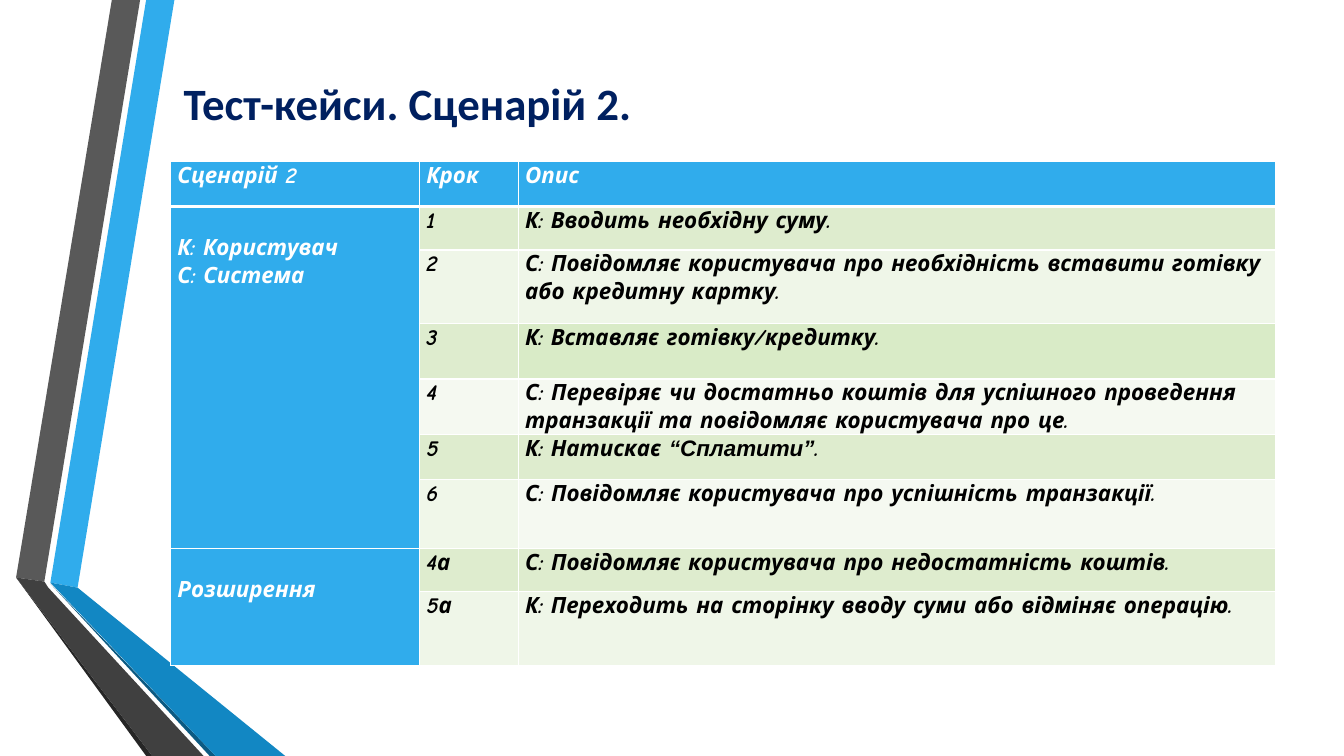
from lxml import etree
from pptx import Presentation
from pptx.dml.color import RGBColor
from pptx.enum.text import MSO_ANCHOR, PP_ALIGN
from pptx.oxml.ns import qn
from pptx.util import Inches, Pt

LEFT = PP_ALIGN.LEFT
MIDDLE = MSO_ANCHOR.MIDDLE

WHITE = RGBColor(0xFF, 0xFF, 0xFF)
BLACK = RGBColor(0x00, 0x00, 0x00)
NAVY = RGBColor(0x00, 0x20, 0x60)
BLUE = RGBColor(0x30, 0xAC, 0xEC)
BLUE_FOLD = RGBColor(0x12, 0x87, 0xC3)
BLUE_SHADE = RGBColor(0x0C, 0x5A, 0x82)
GRAY = RGBColor(0x59, 0x59, 0x59)
GRAY_FOLD = RGBColor(0x40, 0x40, 0x40)
GRAY_SHADE = RGBColor(0x26, 0x26, 0x26)
GREEN = RGBColor(0xDE, 0xEC, 0xCE)
GREEN_DEEP = RGBColor(0xD9, 0xEB, 0xC7)
GREEN_PALE = RGBColor(0xEF, 0xF6, 0xE8)
GREEN_FAINT = RGBColor(0xF5, 0xF9, 0xF1)
GREEN_SOFT = RGBColor(0xF0, 0xF7, 0xE9)

SLIDE_WIDTH = Inches(13.33)
SLIDE_HEIGHT = Inches(7.5)
GRID_UNIT = SLIDE_HEIGHT / 750
TABLE_FONT = "Comic Neue"
QUOTE_FONT = "Arial"
LABEL_DROP = Inches(0.27)

RIBBONS = [
    (BLUE, [(50, 578), (77, 583), (173, 0), (145, 0)]),
    (GRAY, [(139, 0), (111, 0), (16, 573), (44, 577)]),
    (GRAY_SHADE, [(16, 573), (145, 750), (151, 750)]),
    (BLUE_SHADE, [(50, 579), (208, 750), (214, 750)]),
    (BLUE_FOLD, [(50, 578), (214, 750), (283, 750), (77, 583)]),
    (GRAY_FOLD, [(202, 750), (48, 583), (44, 577), (16, 573), (151, 750)]),
]

COLUMN_WIDTHS = [2.47, 0.98, 7.51]
ROW_HEIGHTS = [0.45, 0.43, 0.73, 0.55, 0.55, 0.45, 0.68, 0.43, 0.73]
HEADINGS = ["Сценарій 2", "Крок", "Опис"]
ROLE_GROUPS = [
    (1, 6, ["К: Користувач", "С: Система"]),
    (7, 8, ["Розширення"]),
]
STEPS = [
    ("1", ["К: Вводить необхідну суму."], GREEN, GREEN),
    ("2", ["С: Повідомляє користувача про необхідність вставити готівку "
           "або кредитну картку."], GREEN_PALE, GREEN_PALE),
    ("3", ["К: Вставляє готівку/кредитку."], GREEN, GREEN_DEEP),
    ("4", ["С: Перевіряє чи достатньо коштів для успішного проведення "
           "транзакції та повідомляє користувача про це."], GREEN_FAINT, GREEN_FAINT),
    ("5", ["К: Натискає ", "“Сплатити”", "."], GREEN, GREEN),
    ("6", ["С: Повідомляє користувача про успішність транзакції."], GREEN_SOFT, GREEN_FAINT),
    ("4а", ["С: Повідомляє користувача про недостатність коштів."], GREEN, GREEN),
    ("5а", ["К: Переходить на сторінку вводу суми або відміняє операцію."],
     GREEN_PALE, GREEN_PALE),
]


def add_ribbon(slide, color, corners):
    """Draw one flat part of the folded ribbons on the slide grid."""
    builder = slide.shapes.build_freeform(*corners[0], scale=GRID_UNIT)
    builder.add_line_segments(corners[1:], close=True)
    ribbon = builder.convert_to_shape()
    ribbon.shadow.inherit = False
    ribbon.fill.solid()
    ribbon.fill.fore_color.rgb = color
    ribbon.line.fill.background()


def set_title(slide, text):
    """Place and format the title placeholder."""
    title = slide.shapes.title
    title.left, title.top = Inches(1.72), Inches(0.36)
    title.width, title.height = Inches(10.96), Inches(1.32)
    title.text_frame.text = text
    title.text_frame.vertical_anchor = MIDDLE
    paragraph = title.text_frame.paragraphs[0]
    paragraph.alignment = LEFT
    paragraph.font.name = "Calibri"
    paragraph.font.size = Pt(32)
    paragraph.font.bold = True
    paragraph.font.color.rgb = NAVY


def style_cell(cell, fill, top=1, bottom=1):
    """Fill a cell, set its margins and give it white borders."""
    cell.margin_left = cell.margin_right = Inches(0.07)
    cell.margin_top = cell.margin_bottom = 0
    cell.fill.solid()
    cell.fill.fore_color.rgb = fill
    properties = cell._tc.get_or_add_tcPr()
    borders = [("a:lnL", 1), ("a:lnR", 1), ("a:lnT", top), ("a:lnB", bottom)]
    for position, (tag, width) in enumerate(borders):
        border = etree.Element(qn(tag), w=str(Pt(width)))
        color = etree.SubElement(etree.SubElement(border, qn("a:solidFill")), qn("a:srgbClr"))
        color.set("val", str(WHITE))
        properties.insert(position, border)


def write_cell(cell, lines, color):
    """Write lines, each a list of runs whose second run is a quotation."""
    frame = cell.text_frame
    for index, runs in enumerate(lines):
        paragraph = frame.add_paragraph() if index else frame.paragraphs[0]
        paragraph.line_spacing = 1.07
        paragraph.font.name = TABLE_FONT
        paragraph.font.size = Pt(16)
        paragraph.font.bold = paragraph.font.italic = True
        paragraph.font.color.rgb = color
        for position, text in enumerate(runs):
            run = paragraph.add_run()
            run.text = text
            if position == 1:
                run.font.name = QUOTE_FONT


def add_scenario_table(slide):
    """Build the table of scenario steps with merged role cells."""
    table = slide.shapes.add_table(
        len(ROW_HEIGHTS), len(COLUMN_WIDTHS), Inches(1.69), Inches(1.6),
        Inches(sum(COLUMN_WIDTHS)), Inches(sum(ROW_HEIGHTS))).table
    for column, width in zip(table.columns, COLUMN_WIDTHS):
        column.width = Inches(width)
    for row, height in zip(table.rows, ROW_HEIGHTS):
        row.height = Inches(height)

    for column, heading in enumerate(HEADINGS):
        style_cell(table.cell(0, column), BLUE, bottom=3)
        write_cell(table.cell(0, column), [[heading]], WHITE)

    for row, (step, description, step_fill, description_fill) in enumerate(STEPS, 1):
        top = 3 if row == 1 else 1
        for column, fill in enumerate([BLUE, step_fill, description_fill]):
            style_cell(table.cell(row, column), fill, top=top)
        write_cell(table.cell(row, 1), [[step]], BLACK)
        write_cell(table.cell(row, 2), [description], BLACK)

    for first, last, labels in ROLE_GROUPS:
        role = table.cell(first, 0)
        role.merge(table.cell(last, 0))
        role.margin_top = LABEL_DROP
        write_cell(role, [[label] for label in labels], WHITE)


def main():
    """Build and save the slide."""
    presentation = Presentation()
    presentation.slide_width = SLIDE_WIDTH
    presentation.slide_height = SLIDE_HEIGHT
    slide = presentation.slides.add_slide(presentation.slide_layouts[5])
    for color, corners in RIBBONS:
        add_ribbon(slide, color, corners)
    set_title(slide, "Тест-кейси. Сценарій 2.")
    add_scenario_table(slide)
    presentation.save("out.pptx")


if __name__ == "__main__":
    main()
